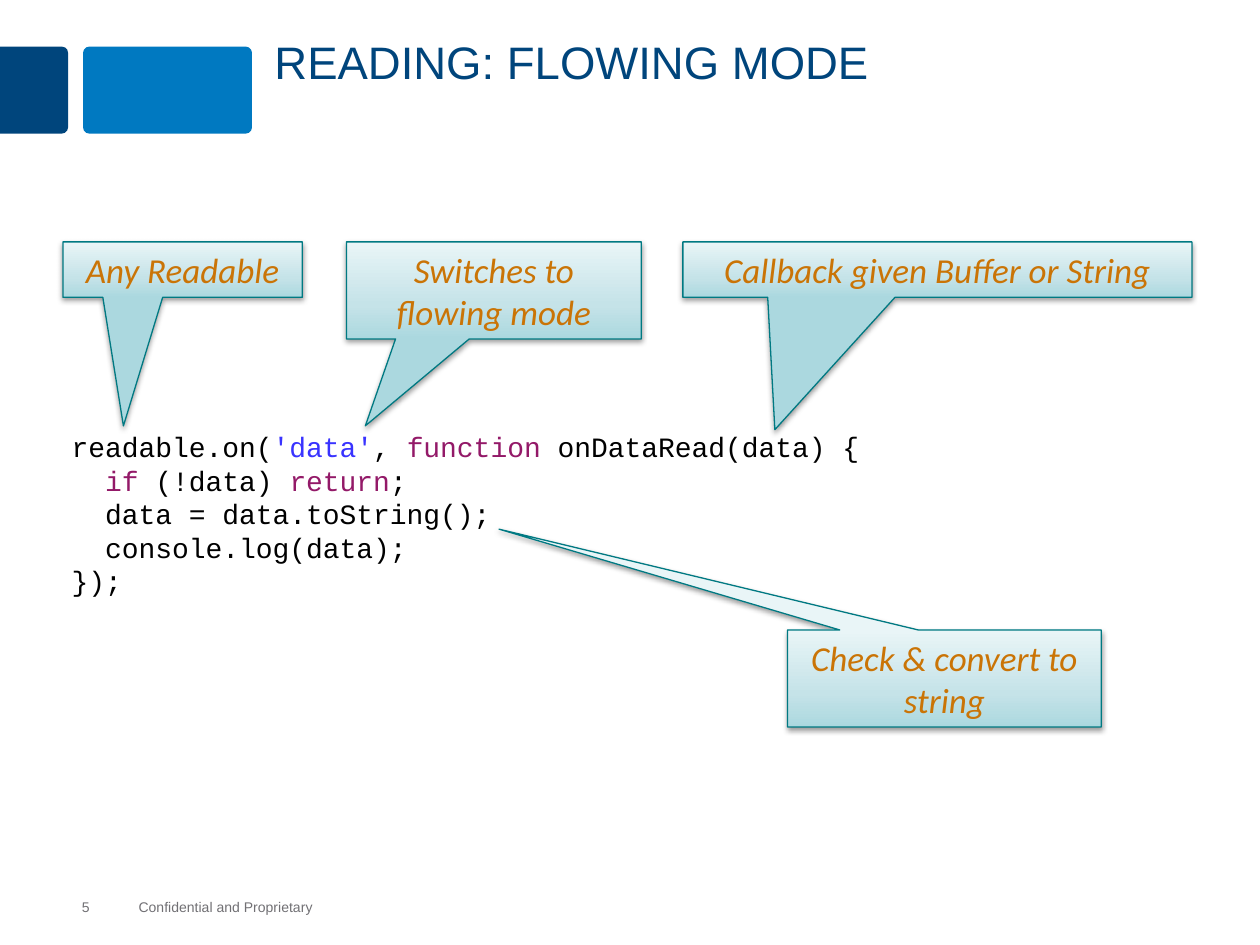
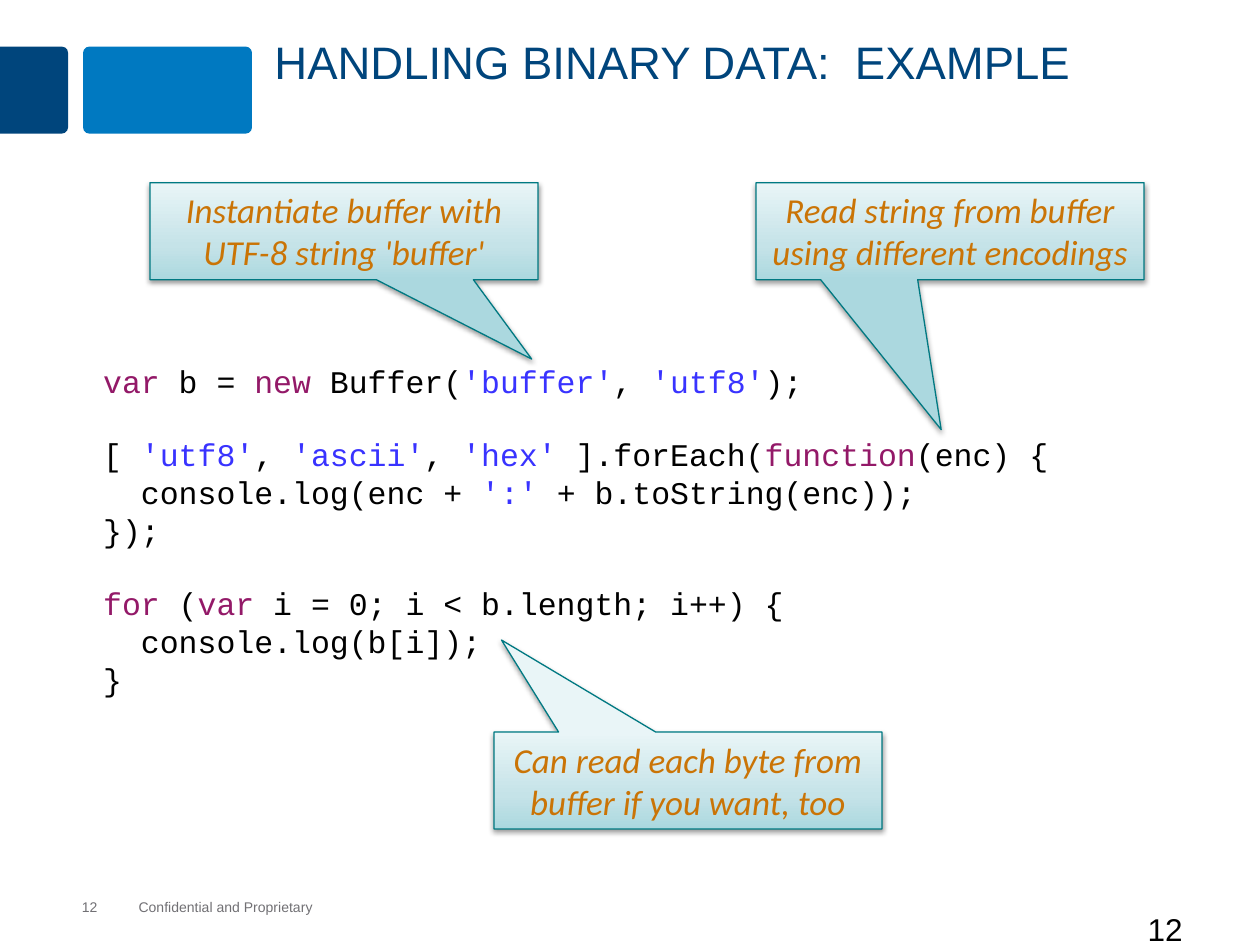
from dataclasses import dataclass
from lxml.etree import SubElement as Sub
from pptx import Presentation
from pptx.dml.color import RGBColor as Rgb
from pptx.enum.shapes import MSO_SHAPE as Kind
from pptx.enum.text import MSO_ANCHOR as Anchor, MSO_AUTO_SIZE as Auto, PP_ALIGN as Align
from pptx.oxml.ns import qn
from pptx.util import Inches, Pt


@dataclass(frozen=True)
class Theme:
    navy: str = "00457C"
    blue: str = "0079C1"
    grey: str = "717074"
    black: str = "000000"
    word: str = "931968"
    quote: str = "3933FF"
    note: str = "CA7406"
    edge: str = "007982"
    fade: tuple = ((0, "ABD8DF"), (35, "C5E3E8"), (100, "E9F5F7"))
    sans: str = "Arial"
    mono: str = "Courier New"
    hand: str = "Calibri"
    head: int = 26
    call: int = 20
    page: int = 18
    small: int = 8


T = Theme()


def put(shape, lines, size, color=T.black, font=T.sans, italic=False,
        align=Align.LEFT, anchor=Anchor.TOP, wrap=True, grow=False,
        inset=None, leading=None, gaps=()):
    frame = shape.text_frame
    frame.word_wrap = wrap
    frame.vertical_anchor = anchor
    frame.auto_size = Auto.SHAPE_TO_FIT_TEXT if grow else Auto.NONE
    if inset is not None:
        frame.margin_left = frame.margin_right = Inches(inset)
        frame.margin_top = frame.margin_bottom = Inches(inset)
    for i, line in enumerate(lines):
        para = frame.add_paragraph() if i else frame.paragraphs[0]
        para.alignment = align
        if leading:
            para.line_spacing = leading
        if i in gaps:
            para.space_before = Pt(gaps[i])
        for words, tint in [(line, color)] if isinstance(line, str) else line:
            run = para.add_run()
            run.text = words
            run.font.name = font
            run.font.size = Pt(size)
            run.font.italic = italic
            run.font.color.rgb = Rgb.from_string(tint)


def area(slide, box):
    return slide.shapes.add_textbox(*map(Inches, box))


def block(slide, kind, box, fill, round_by):
    shape = slide.shapes.add_shape(kind, *map(Inches, box))
    shape.shadow.inherit = False
    shape.fill.solid()
    shape.fill.fore_color.rgb = Rgb.from_string(fill)
    shape.line.fill.background()
    shape.adjustments[0] = round_by
    return shape


def band(slide, box):
    x, y, w, h = box
    stub = 0.54
    tab = block(slide, Kind.ROUND_2_SAME_RECTANGLE,
                (x + (stub - h) / 2, y + (h - stub) / 2, h, stub), T.navy, 0.09)
    tab.rotation = 90
    left = x + stub + 0.12
    block(slide, Kind.ROUNDED_RECTANGLE, (left, y, w - left, h), T.blue, 0.07)


def footer(slide, box, number):
    x, y, w, h = box
    style = dict(size=T.small, color=T.grey, anchor=Anchor.MIDDLE, inset=0, grow=True)
    put(area(slide, (x + 0.45, y, w - 0.45, h)), ["Confidential and Proprietary"],
        wrap=False, **style)
    put(area(slide, (x, y, 0.63, h)), [str(number)], **style)


def base(deck, title, number):
    slide = deck.slides.add_slide(deck.slide_layouts[6])
    band(slide, (0, 0.37, 2, 0.69))
    footer(slide, (0.65, 7.13, 1.85, 0.13), number)
    put(area(slide, (2.08, 0.25, 7.67, 0.91)), [title], T.head, T.navy, leading=0.95)
    return slide


def paint(line):
    runs = []
    for i, part in enumerate(line.split("`")):
        if i % 2:
            runs.append((part, T.word))
            continue
        for j, bit in enumerate(part.split("'")):
            if bit:
                runs.append((f"'{bit}'", T.quote) if j % 2 else (bit, T.black))
    return runs


def code(slide, box, groups, size):
    lines, gaps = [], {}
    for group in groups:
        if lines:
            gaps[len(lines)] = round(size * 1.133, 1)
        lines += [paint(line) for line in group]
    put(area(slide, box), lines, size, font=T.mono, wrap=False, grow=True, gaps=gaps)


def shade(shape):
    shape.fill.gradient()
    shape.fill.gradient_angle = 90
    stops = shape._element.spPr.find(qn("a:gradFill")).find(qn("a:gsLst"))
    for old in list(stops):
        stops.remove(old)
    for at, color in T.fade:
        stop = Sub(stops, qn("a:gs"), pos=str(at * 1000))
        Sub(stop, qn("a:srgbClr"), val=color)


def drop(shape):
    shape.shadow.inherit = False
    effects = shape._element.spPr.find(qn("a:effectLst"))
    cast = Sub(effects, qn("a:outerShdw"), blurRad=str(Pt(3.1)), dist=str(Pt(1.6)),
               dir="5400000", rotWithShape="0")
    tint = Sub(cast, qn("a:srgbClr"), val=T.black)
    Sub(tint, qn("a:alpha"), val="38000")


def callout(slide, box, tip, words):
    x, y, w, h = box
    shape = slide.shapes.add_shape(Kind.RECTANGULAR_CALLOUT, *map(Inches, box))
    shape.adjustments[0] = (tip[0] - x - w / 2) / w
    shape.adjustments[1] = (tip[1] - y - h / 2) / h
    shade(shape)
    shape.line.color.rgb = Rgb.from_string(T.edge)
    shape.line.width = Pt(0.75)
    drop(shape)
    put(shape, [words], T.call, T.note, T.hand, italic=True, align=Align.CENTER, grow=True)


def flow(deck):
    slide = base(deck, "READING: FLOWING MODE", 5)
    code(slide, (0.47, 3.36, 6.53, 1.66), [[
        "readable.on('data', `function `onDataRead(data) {",
        "  `if` (!data) `return`;",
        "  data = data.toString();",
        "  console.log(data);",
        "});",
    ]], 16)
    top, low, tall = 1.92, 0.44, 0.77
    for box, tip, words in (
        ((0.5, top, 1.9, low), (0.98, 3.38), "Any Readable"),
        ((2.75, top, 2.34, tall), (2.9, 3.38), "Switches to flowing mode"),
        ((5.42, top, 4.04, low), (6.15, 3.41), "Callback given Buffer or String"),
        ((6.25, 5, 2.49, tall), (3.96, 4.2), "Check & convert to string"),
    ):
        callout(slide, box, tip, words)


def binary(deck):
    slide = base(deck, "HANDLING BINARY DATA:  EXAMPLE", 12)
    put(area(slide, (9.01, 7.17, 0.99, 0.5)), ["12"], T.page)
    code(slide, (0.72, 2.82, 7.78, 3.31), [
        ["`var` b = `new` Buffer('buffer', 'utf8');"],
        ["[ 'utf8', 'ascii', 'hex' ].forEach(`function`(enc) {",
         "  console.log(enc + ':' + b.toString(enc));",
         "});"],
        ["`for` (`var `i = 0; i < b.length; i++) {",
         "  console.log(b[i]);",
         "}"],
    ], 18)
    for x, y, tip, words in (
        (1.19, 1.45, (4.22, 2.85), "Instantiate buffer with UTF-8 string 'buffer'"),
        (6, 1.45, (7.47, 3.41), "Read string from buffer using different encodings"),
        (3.92, 5.81, (3.98, 5.08), "Can read each byte from buffer if you want, too"),
    ):
        callout(slide, (x, y, 3.08, 0.77), tip, words)


deck = Presentation()
deck.slide_width, deck.slide_height = Inches(10), Inches(7.5)
flow(deck)
binary(deck)
deck.save("out.pptx")
